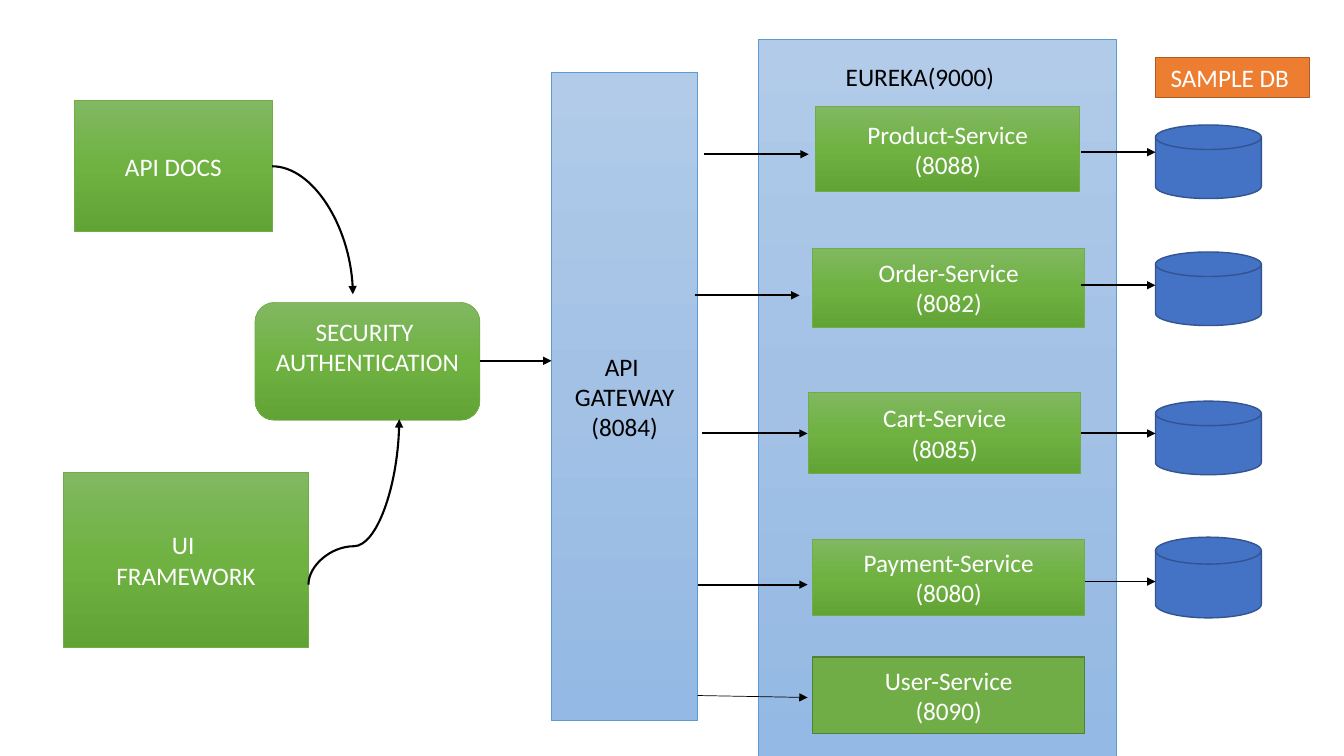
from copy import deepcopy
from pptx import Presentation
from pptx.dml.color import RGBColor
from pptx.enum.shapes import MSO_CONNECTOR, MSO_SHAPE
from pptx.enum.text import MSO_ANCHOR, PP_ALIGN
from pptx.oxml.ns import qn
from pptx.oxml.xmlchemy import OxmlElement
from pptx.util import Inches, Pt

GREEN = ["81B861", "6FB242", "62A336"]
BLUE = ["B1CBE9", "A3C1E5", "93B9E4"]
rgb = RGBColor.from_string


def add_box(kind, at, fill, line, weight, text="", color="FFFFFF"):
    sp = slide.shapes.add_shape(kind, *[Inches(v) for v in at])
    sp.shadow.inherit = False
    if len(fill) == 1:
        sp.fill.solid()
        sp.fill.fore_color.rgb = rgb(fill[0])
    else:
        sp.fill.gradient()
        sp.fill.gradient_angle = 270
        stops = sp.element.spPr.find(qn("a:gradFill")).find(qn("a:gsLst"))
        stops.insert(1, deepcopy(stops[0]))
        for i, stop in enumerate(sp.fill.gradient_stops):
            stop.position = i / 2
            stop.color.rgb = rgb(fill[i])
    sp.line.color.rgb = rgb(line)
    sp.line.width = Pt(weight)
    tf = sp.text_frame
    tf.text = text
    tf.word_wrap = True
    tf.vertical_anchor = MSO_ANCHOR.MIDDLE
    for p in tf.paragraphs:
        p.alignment = PP_ALIGN.CENTER
        p.font.size = Pt(18)
        for r in p.runs:
            r.font.name = "Calibri"
            r.font.size = Pt(18)
            r.font.color.rgb = rgb(color)
    return sp


def add_arrow(x1, y1, x2, y2, weight=1.5, kind=MSO_CONNECTOR.STRAIGHT):
    cx = slide.shapes.add_connector(kind, *[Inches(v) for v in (x1, y1, x2, y2)])
    cx.line.color.rgb = rgb("000000")
    cx.line.width = Pt(weight)
    tail = OxmlElement("a:tailEnd")
    tail.set("type", "triangle")
    cx.line._get_or_add_ln().append(tail)
    cx.element.spPr.append(OxmlElement("a:effectLst"))
    return cx


prs = Presentation()
prs.slide_width = Inches(13.33)
prs.slide_height = Inches(7.5)
slide = prs.slides.add_slide(prs.slide_layouts[6])

add_box(MSO_SHAPE.RECTANGLE, (7.52, 0.39, 3.55, 7.13), BLUE, "5B9BD5", 0.5)
tb = slide.shapes.add_textbox(Inches(8.29), Inches(0.56), Inches(2.34), Inches(0.4))
tf = tb.text_frame
tf.word_wrap = True
tf.text = "EUREKA(9000)"
r = tf.paragraphs[0].runs[0]
r.font.name = "Calibri"
r.font.size = Pt(18)
r.font.color.rgb = rgb("000000")

services = [
    ("Product-Service\n(8088)", (8.09, 1.06, 2.62, 0.84)),
    ("Order-Service\n(8082)", (8.06, 2.46, 2.7, 0.79)),
    ("Cart-Service\n(8085)", (8.02, 3.89, 2.7, 0.81)),
    ("Payment-Service\n(8080)", (8.06, 5.35, 2.7, 0.76)),
]
for text, at in services:
    add_box(MSO_SHAPE.RECTANGLE, at, GREEN, "70AD47", 0.5, text)
add_box(MSO_SHAPE.RECTANGLE, (8.06, 6.52, 2.7, 0.76), ["70AD47"], "538035", 1,
        "User-Service\n(8090)")

for top, height in [(1.24, 0.73), (2.5, 0.73), (3.98, 0.73), (5.33, 0.8)]:
    add_box(MSO_SHAPE.FLOWCHART_MAGNETIC_DISK, (11.46, top, 1.05, height),
            ["4472C4"], "325491", 1)
label = add_box(MSO_SHAPE.RECTANGLE, (11.46, 0.57, 1.53, 0.4), ["ED7D31"],
                "AF5C24", 1, "SAMPLE DB")
label.text_frame.margin_left = Inches(0.15)
label.text_frame.paragraphs[0].alignment = PP_ALIGN.LEFT

add_box(MSO_SHAPE.RECTANGLE, (5.47, 0.72, 1.45, 6.43), BLUE, "5B9BD5", 0.5,
        "API \vGATEWAY\n(8084)", "000000")
add_box(MSO_SHAPE.RECTANGLE, (0.74, 1, 1.96, 1.3), GREEN, "70AD47", 0.5, "API DOCS")
add_box(MSO_SHAPE.RECTANGLE, (0.63, 4.69, 2.43, 1.73), GREEN, "70AD47", 0.5,
        "UI \nFRAMEWORK")
security = add_box(MSO_SHAPE.ROUNDED_RECTANGLE, (2.53, 3, 2.23, 1.17), GREEN,
                   "70AD47", 0.5, "SECURITY \nAUTHENTICATION")
security.text_frame.margin_bottom = Inches(0.35)

arrows = [
    (4.76, 3.58, 5.47, 3.58, 1.5),
    (6.98, 1.53, 8.02, 1.53, 1.5),
    (6.89, 2.93, 7.93, 2.93, 1.5),
    (6.96, 4.3, 8.01, 4.3, 1.5),
    (6.92, 5.8, 8.01, 5.8, 1.5),
    (6.92, 6.9, 8.01, 6.92, 0.5),
    (10.72, 1.51, 11.46, 1.51, 1.5),
    (10.72, 2.83, 11.46, 2.83, 1.5),
    (10.72, 4.3, 11.46, 4.3, 1.5),
    (10.76, 5.77, 11.46, 5.77, 0.5),
]
for arrow in arrows:
    add_arrow(*arrow)

docs_curve = add_arrow(2.7, 1.65, 3.5, 2.92, kind=MSO_CONNECTOR.CURVE)
docs_curve.element.spPr.find(qn("a:prstGeom")).set("prst", "curvedConnector2")

ui_curve = add_arrow(4.33, 5.43, 2.69, 4.53, kind=MSO_CONNECTOR.CURVE)
ui_curve.element.spPr.find(qn("a:xfrm")).set("rot", "5400000")
geom = ui_curve.element.spPr.find(qn("a:prstGeom"))
guide = OxmlElement("a:gd")
guide.set("name", "adj1")
guide.set("fmla", "val 23200")
geom.find(qn("a:avLst")).append(guide)

prs.save("out.pptx")
